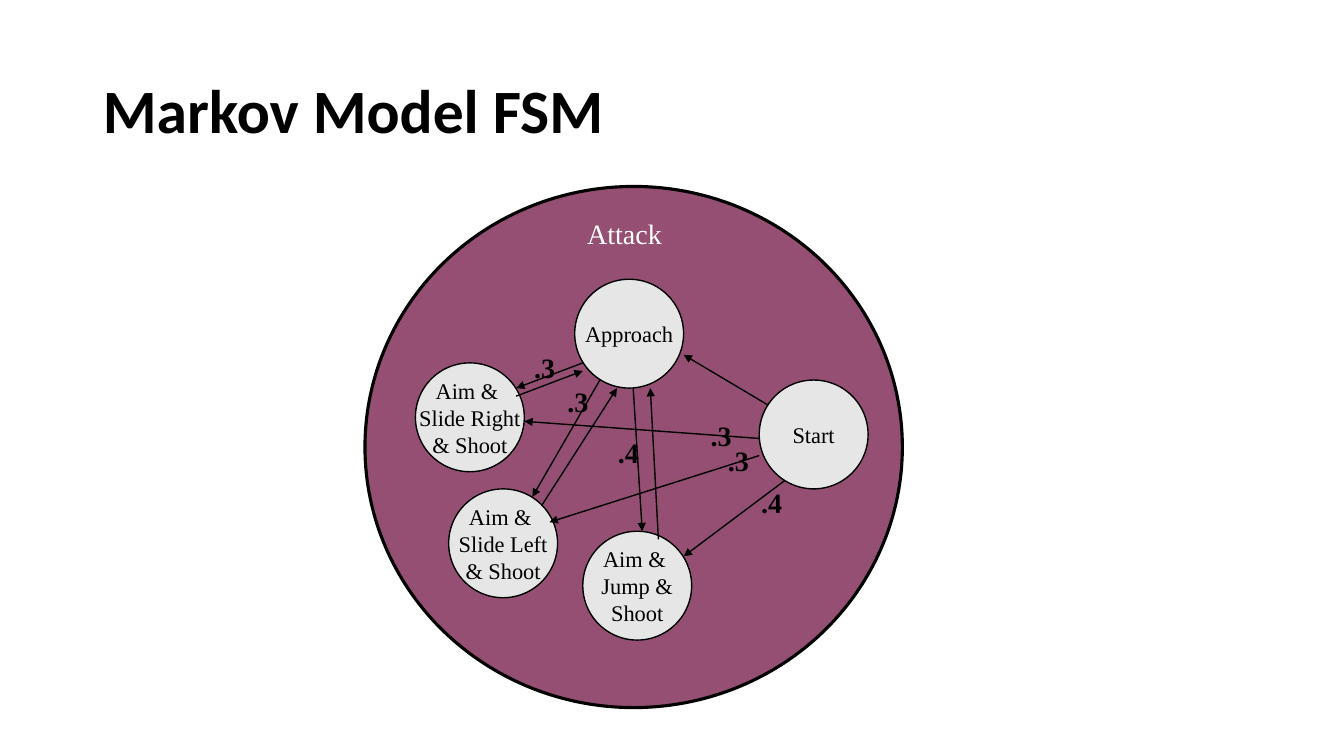
from lxml import etree
from pptx import Presentation
from pptx.dml.color import RGBColor
from pptx.enum import shapes, text
from pptx.oxml.ns import qn
from pptx.util import Inches, Pt

HUES = {"ink": "000000", "plum": "954F72", "node": "E7E6E6", "white": "FFFFFF"}
SERIF = "Times New Roman"
SIDE = 1.08

NODES = [
    (7.53, 3.77, ["Start"]),
    (5.7, 2.77, ["Approach"]),
    (5.78, 5.27, ["Aim & ", "Jump &", "Shoot"]),
    (4.45, 4.85, ["Aim & ", "Slide Left", "& Shoot"]),
    (4.12, 3.6, ["Aim & ", "Slide Right", "& Shoot"]),
]
ARROWS = [
    (7.62, 4.02, 6.78, 3.52),
    (7.78, 4.77, 6.78, 5.52),
    (6.28, 3.85, 6.37, 5.27),
    (6.53, 5.35, 6.45, 3.85),
    (7.53, 4.52, 5.45, 5.18),
    (5.95, 3.77, 5.28, 4.93),
    (5.37, 5.02, 6.12, 3.85),
    (7.53, 4.35, 5.2, 4.18),
    (5.78, 3.6, 5.12, 3.85),
    (5.12, 3.93, 5.78, 3.68),
]
ODDS = [
    (6.95, 4.1, ".3"),
    (7.12, 4.35, ".3"),
    (7.45, 4.77, ".4"),
    (5.53, 3.77, ".3"),
    (5.2, 3.43, ".3"),
    (6.03, 4.27, ".4"),
]


def tint(name):
    """Return the named colour."""
    return RGBColor.from_string(HUES[name])


def write(frame, lines, size, hue="ink", font=SERIF, bold=False, align=None):
    """Fill a text frame with one paragraph per line."""
    for i, line in enumerate(lines):
        par = frame.add_paragraph() if i else frame.paragraphs[0]
        par.alignment = align
        run = par.add_run()
        run.text = line
        run.font.size = Pt(size)
        run.font.name = font
        run.font.bold = bold
        run.font.color.rgb = tint(hue)


def disc(slide, left, top, width, height, hue, line):
    """Draw an outlined ellipse."""
    shape = slide.shapes.add_shape(
        shapes.MSO_SHAPE.OVAL, Inches(left), Inches(top), Inches(width), Inches(height))
    shape.shadow.inherit = False
    shape.fill.solid()
    shape.fill.fore_color.rgb = tint(hue)
    shape.line.color.rgb = tint("ink")
    shape.line.width = Pt(line)
    return shape


def node(slide, left, top, lines):
    """Draw a state with its name."""
    frame = disc(slide, left, top, SIDE, SIDE, "node", 1).text_frame
    frame.word_wrap = False
    frame.vertical_anchor = text.MSO_ANCHOR.MIDDLE
    write(frame, lines, 16, align=text.PP_ALIGN.CENTER)


def arrow(slide, *ends):
    """Draw a transition from one point to another."""
    link = slide.shapes.add_connector(
        shapes.MSO_CONNECTOR.STRAIGHT, *[Inches(n) for n in ends])
    link.line.color.rgb = tint("ink")
    link.line.width = Pt(1)
    etree.SubElement(link.line._get_or_add_ln(), qn("a:tailEnd"), type="triangle")
    etree.SubElement(link._element.spPr, qn("a:effectLst"))


def label(slide, left, top, width, words, **style):
    """Place a line of free text."""
    box = slide.shapes.add_textbox(Inches(left), Inches(top), Inches(width), Inches(0.43))
    box.text_frame.word_wrap = True
    write(box.text_frame, [words], 20, **style)


def head(slide, words):
    """Place and format the title."""
    title = slide.shapes.title
    title.left, title.top = Inches(0.92), Inches(0.4)
    title.width, title.height = Inches(11.5), Inches(1.45)
    frame = title.text_frame
    frame.vertical_anchor = text.MSO_ANCHOR.MIDDLE
    write(frame, [words], 44, font="Calibri", bold=True, align=text.PP_ALIGN.LEFT)
    frame.paragraphs[0].line_spacing = 0.9


def main():
    """Build the slide and save it."""
    deck = Presentation()
    deck.slide_width, deck.slide_height = Inches(13.33), Inches(7.5)
    slide = deck.slides.add_slide(deck.slide_layouts[5])
    head(slide, "Markov Model FSM")
    disc(slide, 3.62, 1.85, 5.33, 5.17, "plum", 2.25)
    label(slide, 5.03, 2.1, 2.33, "Attack", hue="white", align=text.PP_ALIGN.CENTER)
    for left, top, lines in NODES:
        node(slide, left, top, lines)
    for ends in ARROWS:
        arrow(slide, *ends)
    for left, top, odds in ODDS:
        label(slide, left, top, 0.42, odds, bold=True)
    deck.save("out.pptx")


if __name__ == "__main__":
    main()
